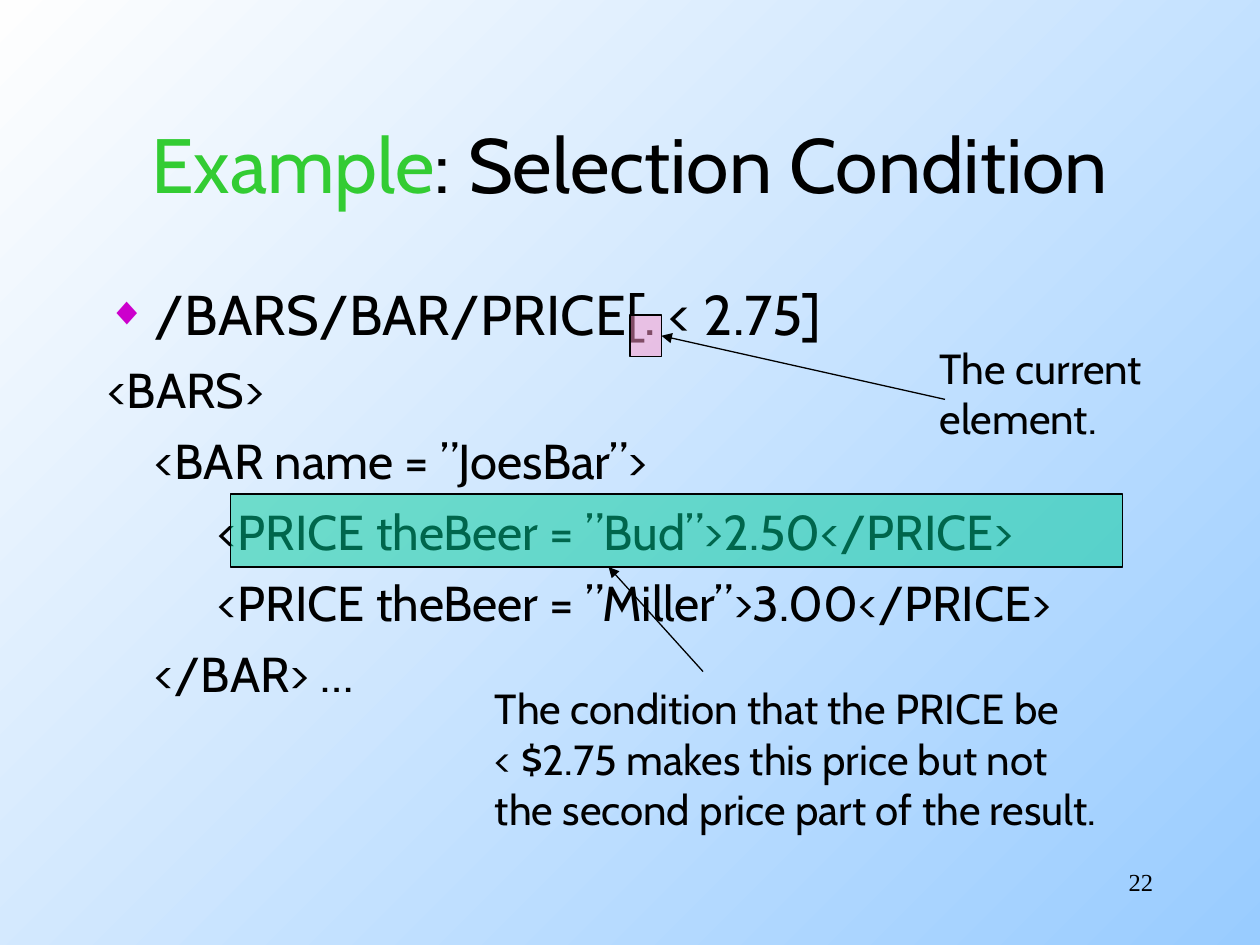
import dataclasses

import lxml.etree
import pptx
import pptx.dml.color
import pptx.enum.shapes
import pptx.enum.text
import pptx.oxml.ns
import pptx.util

Inches, Pt = pptx.util.Inches, pptx.util.Pt
RGB = pptx.dml.color.RGBColor
Align = pptx.enum.text.PP_ALIGN
qn = pptx.oxml.ns.qn

BLACK = RGB(0x00, 0x00, 0x00)
GREEN = RGB(0x33, 0xCC, 0x33)
PURPLE = RGB(0xCC, 0x00, 0xCC)
TEAL = RGB(0x00, 0xCC, 0x99)
PINK = RGB(0xFF, 0x99, 0xCC)
BLUE = RGB(0x99, 0xCC, 0xFF)
WHITE = RGB(0xFE, 0xFE, 0xFE)
FONT = "Cabin"


@dataclasses.dataclass
class Box:
    left: float
    top: float
    width: float
    height: float

    def lengths(self) -> list:
        return [Inches(v) for v in (self.left, self.top, self.width, self.height)]


@dataclasses.dataclass
class Callout:
    mark: Box
    color: RGB
    note: Box
    lines: list
    start: tuple
    end: tuple
    side: int | None = None


CALLOUTS = [
    Callout(Box(1.83, 3.92, 7.08, 0.58), TEAL, Box(3.83, 5.37, 5.36, 1.3),
            ["The condition that the PRICE be",
             "< $2.75 makes this price but not",
             "the second price part of the result."],
            (5.58, 5.33), (4.83, 4.5)),
    Callout(Box(5, 2.5, 0.25, 0.33), PINK, Box(7.36, 2.67, 2.02, 0.9),
            ["The current", "element."],
            (7.5, 3.17), (5.25, 2.67), side=3),
]

QUERY = "/BARS/BAR/PRICE[. < 2.75]"
CODE = [
    "<BARS>",
    "\t<BAR name = ”JoesBar”>",
    "\t\t<PRICE theBeer = ”Bud”>2.50</PRICE>",
    "\t\t<PRICE theBeer = ”Miller”>3.00</PRICE>",
    "\t</BAR> …",
]


def add(parent, tag: str, **attrs):
    return lxml.etree.SubElement(parent, qn(tag), attrs)


def style(para, size: float, font: str = FONT) -> None:
    para.font.size = Pt(size)
    para.font.name = font
    para.font.color.rgb = BLACK


def place(shape, box: Box) -> None:
    shape.left, shape.top, shape.width, shape.height = box.lengths()


def add_text(slide, box: Box, lines: list, size: float,
             font: str = FONT, align=Align.LEFT) -> None:
    frame = slide.shapes.add_textbox(*box.lengths()).text_frame
    frame.word_wrap = True
    frame.text = "\n".join(lines)
    for para in frame.paragraphs:
        para.alignment = align
        style(para, size, font)


def add_mark(slide, box: Box, color: RGB):
    mark = slide.shapes.add_shape(
        pptx.enum.shapes.MSO_SHAPE.RECTANGLE, *box.lengths())
    mark.shadow.inherit = False
    mark.fill.solid()
    mark.fill.fore_color.rgb = color
    tint = mark.fill._xPr.find(".//" + qn("a:srgbClr"))
    add(tint, "a:alpha", val="50000")
    mark.line.color.rgb = BLACK
    mark.line.width = Pt(0.75)
    return mark


def add_callout(slide, call: Callout) -> None:
    mark = add_mark(slide, call.mark, call.color)
    add_text(slide, call.note, call.lines, 24)
    ends = [Inches(v) for v in call.start + call.end]
    arrow = slide.shapes.add_connector(
        pptx.enum.shapes.MSO_CONNECTOR.STRAIGHT, *ends)
    if call.side is not None:
        arrow.end_connect(mark, call.side)
    arrow.line.color.rgb = BLACK
    arrow.line.width = Pt(0.75)
    add(arrow.line._get_or_add_ln(), "a:tailEnd", type="triangle")
    add(arrow._element.spPr, "a:effectLst")


def fill_title(title) -> None:
    place(title, Box(0.75, 0.67, 8.5, 1.25))
    para = title.text_frame.paragraphs[0]
    para.alignment = Align.CENTER
    style(para, 44)
    for text, color in (("Example", GREEN), (": Selection Condition", BLACK)):
        run = para.add_run()
        run.text = text
        run.font.color.rgb = color


def fill_body(body) -> None:
    place(body, Box(0.75, 2.17, 8.75, 4.5))
    frame = body.text_frame
    frame.auto_size = pptx.enum.text.MSO_AUTO_SIZE.NONE
    frame.text = "\n".join([QUERY] + CODE)
    for row, para in enumerate(frame.paragraphs):
        props = para._p.get_or_add_pPr()
        props.set("marL", str(Inches(0.38)))
        props.set("indent", str(-Inches(0.38)))
        if row == 0:
            add(add(props, "a:buClr"), "a:srgbClr", val=str(PURPLE))
            add(props, "a:buSzPct", val="70000")
            add(props, "a:buChar", char="◆")
        else:
            para.space_before = Pt(7)
            add(props, "a:buNone")
            tabs = add(props, "a:tabLst")
            for stop in range(8):
                add(tabs, "a:tab", pos=str(Inches(stop)), algn="l")
        style(para, 28 if row else 32)
    frame.paragraphs[0].space_before = Pt(0)


def main() -> None:
    deck = pptx.Presentation()
    deck.slide_width, deck.slide_height = Inches(10), Inches(7.5)
    slide = deck.slides.add_slide(deck.slide_layouts[1])

    # Background, blue at the lower right to white at the upper left
    fill = slide.background.fill
    fill.gradient()
    fill.gradient_angle = 135
    for stop, color in zip(fill.gradient_stops, (BLUE, WHITE)):
        stop.color.rgb = color

    # Title and code
    fill_title(slide.shapes.title)
    fill_body(slide.placeholders[1])

    # Marked parts with their notes
    for call in CALLOUTS:
        add_callout(slide, call)

    # Page number
    add_text(slide, Box(7.17, 6.83, 2.08, 0.5), ["22"], 14,
             "Times New Roman", Align.RIGHT)

    deck.save("out.pptx")


if __name__ == "__main__":
    main()
